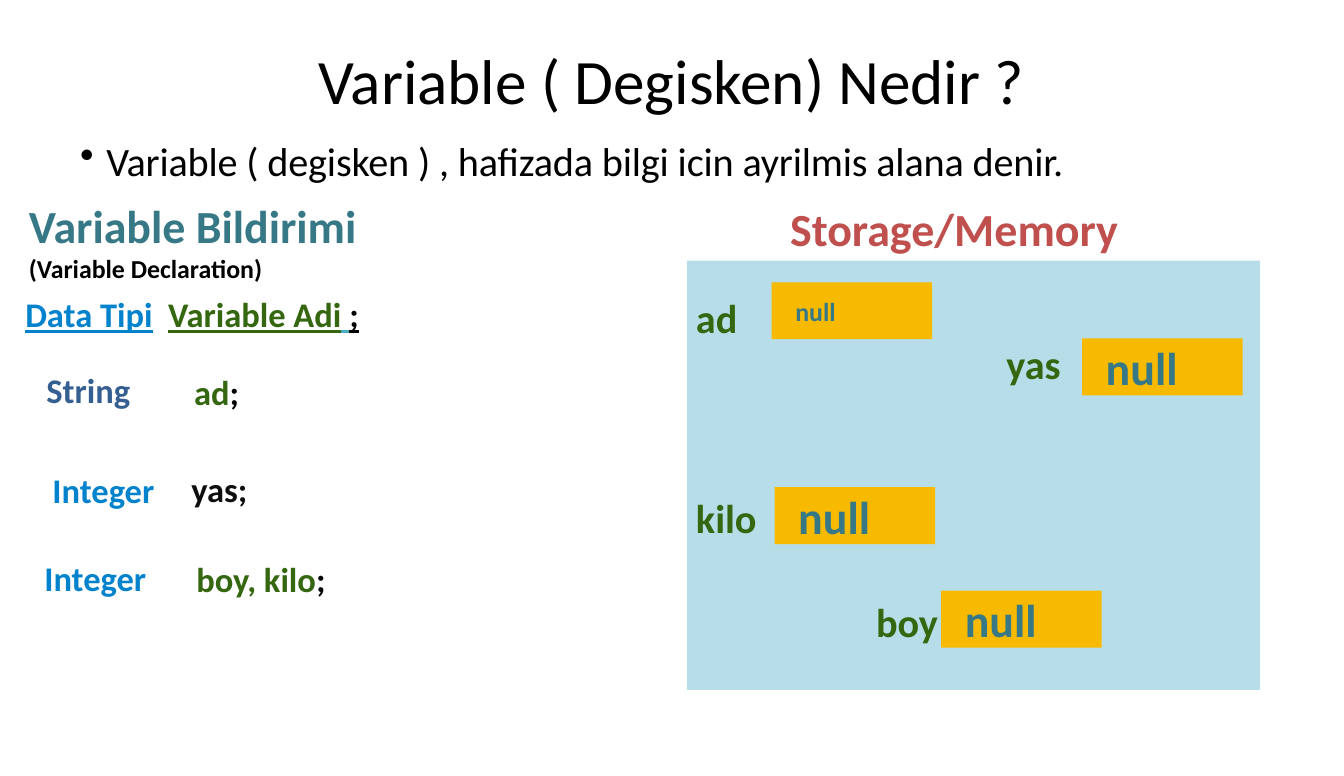
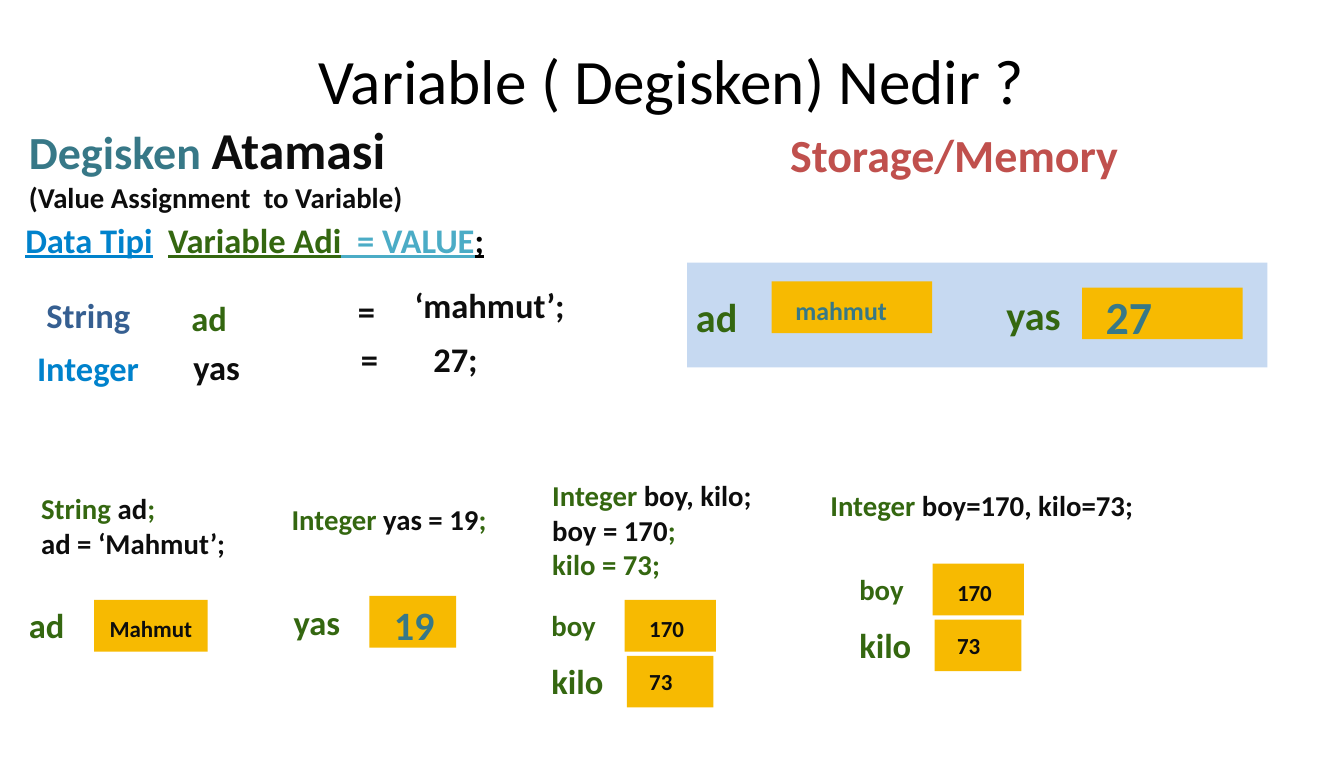
import dataclasses

import pptx
import pptx.dml.color
import pptx.enum.shapes
import pptx.enum.text
import pptx.oxml
import pptx.oxml.ns
import pptx.slide
import pptx.text.text
import pptx.util

Cm = pptx.util.Cm
Pt = pptx.util.Pt
RGBColor = pptx.dml.color.RGBColor

# Shared look
FONT = "Calibri"
BLACK = RGBColor(0x00, 0x00, 0x00)
INK = RGBColor(0x0D, 0x0D, 0x0D)
TEAL = RGBColor(0x37, 0x78, 0x87)
GREEN = RGBColor(0x34, 0x67, 0x10)
BLUE = RGBColor(0x00, 0x82, 0xCC)
NAVY = RGBColor(0x36, 0x5F, 0x91)
AQUA = RGBColor(0x4B, 0xAC, 0xC6)
RED = RGBColor(0xC0, 0x50, 0x4D)
AMBER = RGBColor(0xF7, 0xBA, 0x01)
PALE_AQUA = RGBColor(0xB7, 0xDE, 0xE8)
PALE_BLUE = RGBColor(0xC6, 0xD9, 0xF1)

TITLE = "Variable ( Degisken) Nedir ?"
INSET = 0.2
LINE_HEIGHT = 1.22
CM_PER_POINT = 2.54 / 72


@dataclasses.dataclass(frozen=True)
class Run:
    text: str
    color: RGBColor = INK
    size: float = 24
    underline: bool = False
    bold: bool = True


@dataclasses.dataclass(frozen=True)
class Label:
    """Text box in centimetres; its height follows from its lines."""
    left: float
    top: float
    width: float
    lines: list[list[Run]]
    wrap: bool = False

    @property
    def height(self) -> float:
        points = sum(max(run.size for run in line) for line in self.lines)
        return points * LINE_HEIGHT * CM_PER_POINT + 2 * INSET


@dataclasses.dataclass(frozen=True)
class Slot:
    """Amber memory cell with the value it holds."""
    left: float
    top: float
    value: Run
    width: float = 3.94
    height: float = 1.27
    indent: float = 0.38
    value_width: float = 2.84
    nudge: float = 0.06


def word(left: float, top: float, width: float, text: str, color: RGBColor = INK,
         size: float = 24, wrap: bool = False) -> Label:
    return Label(left, top, width, [[Run(text, color, size)]], wrap)


def name(left: float, top: float, width: float, text: str, size: float = 28) -> Label:
    return word(left, top, width, text, GREEN, size, True)


def syntax(top: float, width: float, ending: list[Run]) -> Label:
    start = [Run(" ", BLACK), Run("Data Tipi", BLUE, underline=True), Run("  ", BLACK),
             Run("Variable Adi", GREEN, underline=True)]
    return Label(0.23, top, width, [start + ending])


def fill_paragraph(paragraph: pptx.text.text._Paragraph, line: list[Run]) -> None:
    paragraph.text = line[0].text
    for part in line[1:]:
        paragraph.add_run().text = part.text
    for run, part in zip(paragraph.runs, line):
        run.font.name = FONT
        run.font.size = Pt(part.size)
        run.font.bold = part.bold
        run.font.underline = part.underline
        run.font.color.rgb = part.color


def draw_label(slide: pptx.slide.Slide, label: Label) -> None:
    shape = slide.shapes.add_textbox(
        Cm(label.left), Cm(label.top), Cm(label.width), Cm(label.height))
    text_frame = shape.text_frame
    text_frame.word_wrap = label.wrap
    text_frame.auto_size = pptx.enum.text.MSO_AUTO_SIZE.SHAPE_TO_FIT_TEXT
    text_frame.vertical_anchor = pptx.enum.text.MSO_ANCHOR.MIDDLE
    text_frame.margin_left = text_frame.margin_right = Cm(INSET)
    text_frame.margin_top = text_frame.margin_bottom = Cm(INSET)
    for index, line in enumerate(label.lines):
        paragraph = text_frame.paragraphs[0] if index == 0 else text_frame.add_paragraph()
        fill_paragraph(paragraph, line)


def draw_labels(slide: pptx.slide.Slide, labels: list[Label]) -> None:
    for label in labels:
        draw_label(slide, label)


def draw_rectangle(slide: pptx.slide.Slide, left: float, top: float, width: float,
                   height: float, color: RGBColor) -> None:
    shape = slide.shapes.add_shape(
        pptx.enum.shapes.MSO_SHAPE.RECTANGLE, Cm(left), Cm(top), Cm(width), Cm(height))
    shape.shadow.inherit = False
    shape.fill.solid()
    shape.fill.fore_color.rgb = color
    shape.line.fill.background()


def draw_slots(slide: pptx.slide.Slide, slots: list[Slot]) -> None:
    for slot in slots:
        draw_rectangle(slide, slot.left, slot.top, slot.width, slot.height, AMBER)
        label = Label(slot.left + slot.indent, 0, slot.value_width, [[slot.value]], True)
        top = slot.top + (slot.height - label.height) / 2 + slot.nudge
        draw_label(slide, dataclasses.replace(label, top=top))


def draw_boy_kilo(slide: pptx.slide.Slide, left: float, top: float) -> None:
    draw_slots(slide, [
        Slot(left + 2, top + 0.02, Run("170", INK, 16), 2.24, indent=0.4, value_width=1.42),
        Slot(left + 2.05, top + 1.39, Run("73", INK, 16), 2.13, indent=0.35,
             value_width=1.42, nudge=0),
    ])
    draw_labels(slide, [
        name(left, top, 2.06, "boy", 20),
        name(left, top + 1.29, 2.79, "kilo", 24),
    ])


def add_titled_slide(presentation: pptx.presentation.Presentation) -> pptx.slide.Slide:
    slide = presentation.slides.add_slide(presentation.slide_layouts[6])
    text_frame = slide.shapes.add_textbox(
        Cm(1.65), Cm(0.76), Cm(29.69), Cm(2.36)).text_frame
    text_frame.word_wrap = True
    text_frame.vertical_anchor = pptx.enum.text.MSO_ANCHOR.MIDDLE
    paragraph = text_frame.paragraphs[0]
    paragraph.alignment = pptx.enum.text.PP_ALIGN.CENTER
    fill_paragraph(paragraph, [Run(TITLE, BLACK, 44, bold=False)])
    return slide


def draw_definition(slide: pptx.slide.Slide) -> None:
    text_frame = slide.shapes.add_textbox(
        Cm(1.7), Cm(3.33), Cm(29.21), Cm(1.6)).text_frame
    text_frame.word_wrap = True
    paragraph = text_frame.paragraphs[0]
    fill_paragraph(paragraph, [Run(
        "Variable ( degisken ) , hafizada bilgi icin ayrilmis alana denir.",
        BLACK, 28, bold=False)])
    paragraph.line_spacing = Pt(30.2)
    paragraph.space_before = Pt(10.6)
    # Bullet with hanging indent
    properties = paragraph._p.get_or_add_pPr()
    properties.set("marL", str(Cm(0.66)))
    properties.set("indent", str(-Cm(0.64)))
    properties.append(pptx.oxml.parse_xml(
        f'<a:buChar {pptx.oxml.ns.nsdecls("a")} char="•"/>'))
    paragraph.runs[0]._r.get_or_add_rPr().set("spc", "-10")


def build_declaration(presentation: pptx.presentation.Presentation) -> None:
    slide = add_titled_slide(presentation)
    draw_definition(slide)

    # Declarations
    draw_labels(slide, [
        Label(0.51, 4.62, 8.53, [[Run("Variable Bildirimi", TEAL, 32)],
                                 [Run("(Variable Declaration)", BLACK, 18)]]),
        syntax(6.99, 8.86, [Run(" ", AQUA, underline=True), Run(";", BLACK, underline=True)]),
        word(0.94, 8.84, 2.49, "String", NAVY),
        Label(4.57, 8.89, 1.52, [[Run("ad", GREEN), Run(";", BLACK)]]),
        word(1.09, 11.3, 3.3, "Integer", BLUE),
        word(4.5, 11.28, 1.8, "yas;"),
        word(0.89, 13.46, 2.92, "Integer", BLUE),
        Label(4.62, 13.49, 5.26, [[Run("boy, kilo", GREEN), Run(";", BLACK)]], True),
    ])

    # Memory
    draw_rectangle(slide, 16.87, 6.4, 14.07, 10.54, PALE_AQUA)
    draw_slots(slide, [
        Slot(left, top, Run("null", TEAL, size), height=1.4, nudge=0)
        for left, top, size in [(18.95, 6.93, 18), (26.57, 8.31, 32),
                                (19.02, 11.96, 32), (23.11, 14.5, 32)]
    ])
    draw_labels(slide, [
        word(19.2, 4.7, 8.53, "Storage/Memory", RED, 32),
        name(16.89, 6.99, 1.65, "ad"),
        name(24.51, 8.13, 2.79, "yas"),
        name(16.89, 11.91, 4.09, "kilo"),
        name(21.31, 14.45, 4.09, "boy"),
    ])


def build_assignment(presentation: pptx.presentation.Presentation) -> None:
    slide = add_titled_slide(presentation)

    # Assignments
    draw_labels(slide, [
        Label(0.51, 2.67, 9.65, [[Run("Degisken ", TEAL, 32), Run("Atamasi", INK, 36)],
                                 [Run("(Value Assignment  to Variable)", INK, 20)]], True),
        syntax(5.16, 11.96, [Run("  = VALUE", AQUA, underline=True),
                             Run(";", BLACK, underline=True)]),
        word(0.94, 7.01, 2.49, "String", NAVY),
        word(4.5, 7.09, 2.62, "ad", GREEN),
        word(8.59, 6.91, 0.84, "="),
        word(9.98, 6.76, 5.08, "‘mahmut’;"),
        word(0.71, 8.31, 3.3, "Integer", BLUE),
        word(4.55, 8.28, 2.51, "yas"),
        word(8.66, 8.1, 0.84, "="),
        word(10.44, 8.08, 1.5, "27;"),
    ])

    # Memory
    draw_rectangle(slide, 16.87, 6.45, 14.25, 2.57, PALE_BLUE)
    draw_slots(slide, [
        Slot(18.95, 6.91, Run("mahmut", TEAL, 18)),
        Slot(26.57, 7.06, Run("27", TEAL, 32)),
    ])
    draw_labels(slide, [
        word(19.2, 2.9, 8.53, "Storage/Memory", RED, 32),
        name(16.89, 6.96, 1.65, "ad"),
        name(24.51, 6.91, 2.79, "yas"),
    ])

    # Code examples
    integer = Run("Integer ", GREEN, 20)
    semicolon = Run(";", GREEN, 20)
    draw_labels(slide, [
        Label(0.81, 11.84, 4.95, [[Run("String ", GREEN, 20), Run("ad", INK, 20), semicolon],
                                  [Run("ad = ‘Mahmut’;", INK, 20)]]),
        Label(6.96, 12.12, 5.23, [[integer, Run("yas = 19", INK, 20), semicolon]]),
        Label(13.36, 11.51, 5.33, [[integer, Run("boy, kilo;", INK, 20)],
                                   [Run("boy = 170", INK, 20), semicolon],
                                   [Run("kilo = 73;", GREEN, 20)]]),
        Label(20.19, 11.76, 7.9, [[integer, Run("boy=170, kilo=73;", INK, 20)]]),
        name(0.51, 14.61, 1.65, "ad", 24),
        name(7.01, 14.55, 2.79, "yas", 24),
    ])
    draw_slots(slide, [
        Slot(2.31, 14.73, Run("Mahmut", INK, 16), 2.79, indent=0.18),
        Slot(9.07, 14.63, Run("19", TEAL, 28), 2.13, indent=0.4),
    ])
    draw_boy_kilo(slide, 13.34, 14.71)
    draw_boy_kilo(slide, 20.9, 13.82)


def main() -> None:
    presentation = pptx.Presentation()
    presentation.slide_width = Cm(33)
    presentation.slide_height = Cm(19.05)
    build_declaration(presentation)
    build_assignment(presentation)
    presentation.save("out.pptx")


if __name__ == "__main__":
    main()
